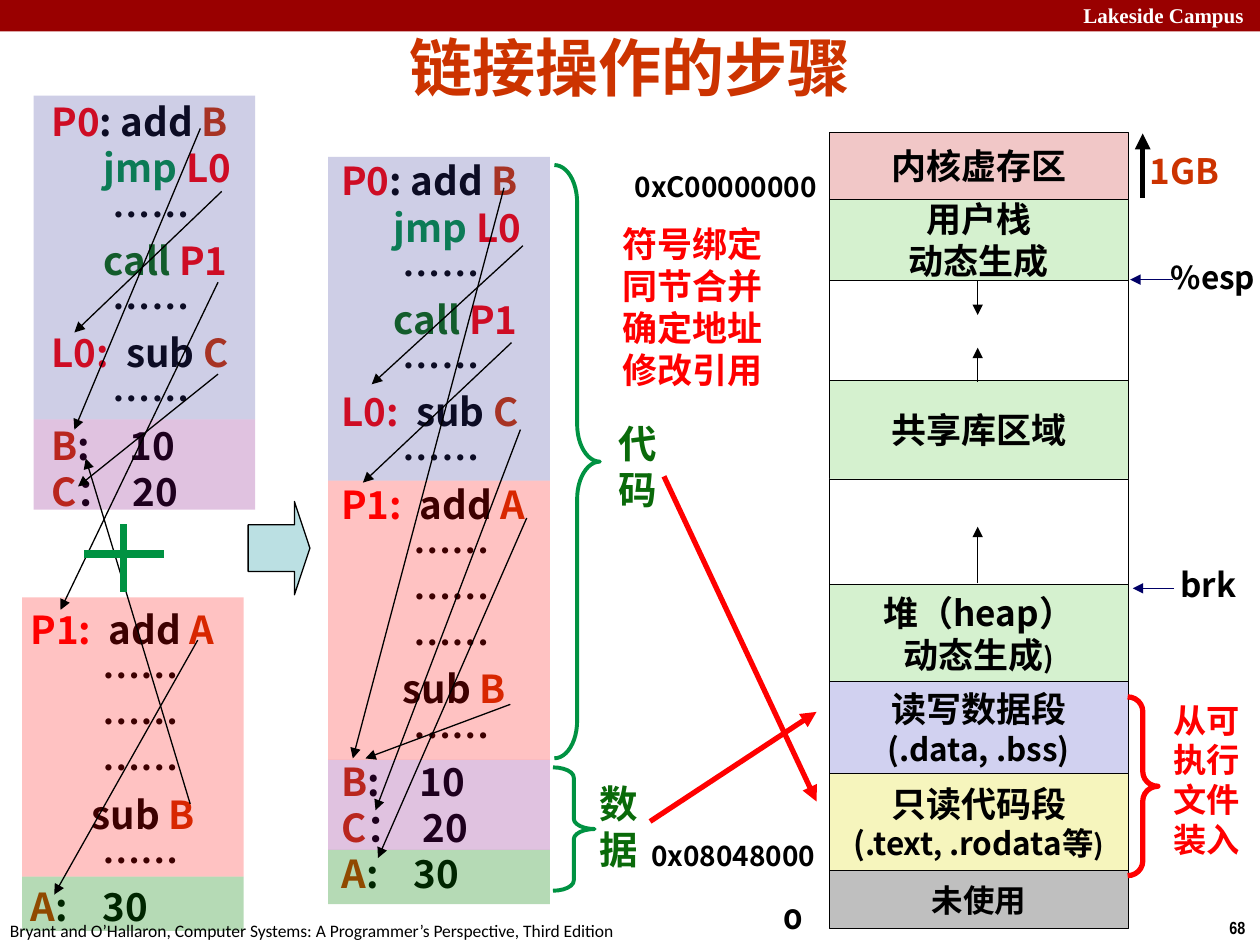
import pptx
import pptx.util
import pptx.dml.color
import pptx.enum.shapes
import pptx.enum.text
import pptx.oxml.ns
import lxml.etree

Pt = pptx.util.Pt
RGB = pptx.dml.color.RGBColor.from_string
KIND = pptx.enum.shapes.MSO_SHAPE
ALIGN = pptx.enum.text.PP_ALIGN
MID = pptx.enum.text.MSO_ANCHOR.MIDDLE
qn = pptx.oxml.ns.qn

THEME = dict(
    black="000000", white="FFFFFF", red="FF0000", rust="CC3300", green="009242",
    dark="0A6A0A", navy="000066", bar="990000", sky="BBE0E3",
    pink="F1C7C7", mint="D5F1CF", lilac="D1D1F0", cream="F6F5BD", grey="BFBFBF",
    blue="333399", plum="800080", leaf="008000",
    sans="Noto Sans CJK SC", narrow="Arial Narrow", serif="Times New Roman",
    title=36, code=22, cell=20, small=18, tiny=16, lead=1.2,
)

# Code lines: indent, runs of (text, colour, extra letter spacing)
DOTS = (35, [("……", "black")])
DEEP = (41, [("……", "black")])
MAIN = [
    (0, [("P0", "red"), (": add ", "black"), ("B", "rust")]),
    (30, [("jmp ", "green"), ("L0", "red")]),
    DOTS,
    (30, [("call ", "dark"), ("P1", "red")]),
    DOTS,
    (0, [("L0:", "red"), (" ", "red", 5), ("sub ", "black"), ("C", "rust")]),
    DOTS,
]
DATA = [
    (0, [("B", "rust"), (":", "black"), (" ", "black", 17.5), ("10", "black")]),
    (0, [("C", "rust"), ("：", "black"), (" ", "black", 5), ("20", "black")]),
]
PROC = [
    (0, [("P1:", "red"), (" ", "red", 5), ("add ", "black"), ("A", "rust")]),
    DEEP, DEEP, DEEP,
    (35, [("sub ", "black"), ("B", "rust")]),
    DEEP,
]
LAST = [(0, [("A", "rust"), (":", "black"), (" ", "black", 15), ("30", "black")])]

# Bands: lines, height, colour, opacity in percent
BANDS = dict(main=(MAIN, 185, "blue", 24), data=(DATA, 51.5, "plum", 24),
             proc=(PROC, 159.5, "red", 24), last=(LAST, 31, "leaf", 29))
WIDE = 126.7
# Blocks: band left and top, text left and top, bands
BLOCKS = [
    (187.5, 89.7, 188, 86.4, ["main", "proc", "data", "last"]),
    (12.6, 341.4, 10.3, 342.7, ["proc", "last"]),
    (19.2, 54.7, 22.3, 52.6, ["main", "data"]),
]

# Memory cells: top, colour, lines of (text, size) runs
MEMORY = [
    (75.6, "pink", [[("内核虚存区", "cell")]]),
    (113.8, "mint", [[("用户栈", "cell")], [("动态生成", "cell")]]),
    (160.3, "white", []),
    (217.4, "mint", [[("共享库区域", "cell")]]),
    (273.6, "white", []),
    (334, "mint", [[("堆（heap）", "cell")], [("动态生成", "cell"), (")", "tiny")]]),
    (389.5, "lilac", [[("读写数据段", "cell")], [("(.data, .bss)", "small")]]),
    (442, "cream", [[("只读代码段", "cell")],
                    [("(.text", "small"), (", ", "tiny"), (".rodata等", "small"), (")", "tiny")]]),
    (497.5, "grey", [[("未使用", "small")]]),
]
FLOOR, COL, SPAN = 530.6, 473.8, 171

# Labels: box, lines, font, size, colour, bold, side inset, wrap
LABELS = [
    ((612, -2, 108, 22), ["Lakeside Campus"], "serif", 12, "white", 1, 7.2, 0),
    ((695.5, 520.6, 24.5, 19), ["68"], "narrow", 10, "black", 1, 7.2, 0),
    ((-1.4, 522, 366, 19), ["Bryant and O’Hallaron, Computer Systems: A Programmer’s "
                            "Perspective, Third Edition"], "Calibri", 10, "black", 0, 7.2, 0),
    ((346.3, 236.2, 37.4, 60), ["代码"], "narrow", 22, "dark", 1, 7.2, 1),
    ((335.5, 442, 50.4, 60), ["数据"], "narrow", 22, "dark", 1, 7.2, 1),
    ((669, 143.7, 51, 27), ["%esp"], "sans", 18, "black", 1, 0, 0),
    ((667.4, 319, 52, 29), ["brk"], "sans", 19, "black", 1, 7.2, 0),
    ((355.7, 93.3, 123, 25), ["0xC00000000"], "sans", 16, "black", 1, 7.2, 0),
    ((365, 475.7, 112, 25), ["0x08048000"], "sans", 16, "black", 1, 7.2, 0),
    ((440.6, 511.5, 25, 26), ["0"], "Montserrat", 16, "black", 1, 7.2, 0),
    ((670.3, 396.4, 40.4, 97), ["从可执行文件装入"], "Calibri", 19, "red", 1, 0, 1),
    ((657, 82, 43, 31), ["1GB"], "sans", 20, "rust", 1, 0, 1),
    ((348.5, 123.8, 103, 103), ["符号绑定", "同节合并", "确定地址", "修改引用"],
     "narrow", 20, "red", 1, 7.2, 1),
]

# Braces: box, bend, colour, weight
BRACES = [
    ((316.8, 94.3, 26, 339), 0.823, "green", 2.25),
    ((316, 438.5, 23.8, 70.5), 0.246, "green", 2.25),
    ((644.4, 398.2, 17.3, 102.2), 0.486, "red", 3),
]

# Lines: colour, weight, arrowhead, list of (x1, y1, x2, y2)
LINES = [
    ("black", 0.75, True, [
        (288, 107.3, 201.6, 433.4), (291.6, 402.5, 208.8, 433.4), (301, 296, 216, 490.3),
        (297.4, 245.5, 214.6, 463), (298.8, 140.4, 212.4, 219.6), (292.3, 195.8, 207.4, 275.8),
        (124.6, 161.3, 34.6, 348.5), (114.5, 73.4, 42.5, 245.5), (126.7, 109.4, 42.5, 190),
        (124.6, 213.8, 44.6, 278), (113, 365.8, 31, 511.2), (108.7, 459.4, 49, 262)]),
    ("green", 4.5, False, [(48.2, 316.8, 93.6, 316.8), (70.6, 299.5, 70.6, 338.4)]),
    ("navy", 0.25, True, [(670.3, 159.8, 645.8, 159.8), (671, 336.2, 647.3, 336.2)]),
    ("black", 3, True, [(653, 113, 653, 76.3)]),
    ("black", 0.25, True, [(558.7, 333.4, 558.7, 301), (558.7, 218.2, 558.7, 198.7),
                           (558.7, 160.6, 558.7, 180)]),
    ("red", 3, True, [(379.4, 272.2, 466.6, 458), (371.5, 469.4, 466.6, 406.8)]),
]


def ink(name):
    return RGB(THEME[name])


def style(run, face, size, tone, bold=True, gap=0):
    font = run.font
    font.name = THEME.get(face, face)
    font.size, font.bold, font.color.rgb = Pt(size), bool(bold), ink(tone)
    props = run._r.get_or_add_rPr()
    east = lxml.etree.Element(qn("a:ea"), typeface=THEME["sans"])
    props.find(qn("a:latin")).addnext(east)
    if gap:
        props.set("spc", str(round(gap * 100)))


def fill(frame, rows, align=ALIGN.LEFT):
    """Write rows of (text, face, size, colour, bold, gap) runs, one paragraph each."""
    for i, row in enumerate(rows):
        para = frame.paragraphs[0] if i == 0 else frame.add_paragraph()
        para.alignment = align
        para.line_spacing = Pt(round(THEME["lead"] * max(r[2] for r in row), 1))
        for text, *look in row:
            run = para.add_run()
            run.text = text
            style(run, *look)


def shape(slide, kind, box, tone=None, edge=None, weight=0.75, alpha=None):
    item = slide.shapes.add_shape(kind, *map(Pt, box))
    item.shadow.inherit = False
    if tone:
        item.fill.solid()
        item.fill.fore_color.rgb = ink(tone)
    else:
        item.fill.background()
    if alpha:
        color = item._element.spPr.find(".//" + qn("a:srgbClr"))
        lxml.etree.SubElement(color, qn("a:alpha"), val=str(alpha * 1000))
    if edge:
        item.line.color.rgb, item.line.width = ink(edge), Pt(weight)
    else:
        item.line.fill.background()
    return item


def label(slide, box, rows, inset=7.2, wrap=True):
    frame = slide.shapes.add_textbox(*map(Pt, box)).text_frame
    frame.word_wrap = bool(wrap)
    frame.margin_left = frame.margin_right = Pt(inset)
    fill(frame, rows)
    return frame


def block(slide, left, top, x, y, names):
    lines = [line for name in names for line in BANDS[name][0]]
    rows = [[(text, "sans", THEME["code"], tone, True, *gap) for text, tone, *gap in runs]
            for _, runs in lines]
    high = sum(BANDS[name][1] for name in names)
    frame = label(slide, (x, y, 147.6, high), rows)
    for para, (indent, _) in zip(frame.paragraphs, lines):
        props = para._p.get_or_add_pPr()
        props.set("marL", str(Pt(indent)))
        props.set("indent", "0")
    for name in names:
        _, tall, tone, alpha = BANDS[name]
        shape(slide, KIND.RECTANGLE, (left, top, WIDE, tall), tone, alpha=alpha)
        top += tall


def line(slide, ends, tone, weight, head):
    item = slide.shapes.add_connector(pptx.enum.shapes.MSO_CONNECTOR.STRAIGHT, *map(Pt, ends))
    item.line.color.rgb, item.line.width = ink(tone), Pt(weight)
    if head:
        lxml.etree.SubElement(item.line._get_or_add_ln(), qn("a:tailEnd"), type="triangle")
    lxml.etree.SubElement(item._element.spPr, qn("a:effectLst"))


def memory(slide):
    ends = [cell[0] for cell in MEMORY[1:]] + [FLOOR]
    for (top, tone, lines), end in zip(MEMORY, ends):
        cell = shape(slide, KIND.RECTANGLE, (COL, top, SPAN, end - top), tone, "black", 0.25)
        frame = cell.text_frame
        frame.word_wrap, frame.vertical_anchor = False, MID
        rows = [[(text, "sans", THEME[size], "black") for text, size in row] for row in lines]
        fill(frame, rows, ALIGN.CENTER)


def main():
    deck = pptx.Presentation()
    deck.slide_width, deck.slide_height = Pt(720), Pt(540)
    slide = deck.slides.add_slide(deck.slide_layouts[5])
    shape(slide, KIND.RECTANGLE, (0, 0, 720, 18), "bar")
    title = slide.shapes.title
    title.left, title.top, title.width, title.height = map(Pt, (36, 15.8, 648, 44))
    title.text_frame.vertical_anchor = MID
    fill(title.text_frame, [[("链接操作的步骤", "Arial", THEME["title"], "rust")]], ALIGN.CENTER)
    arrow = shape(slide, KIND.RIGHT_ARROW, (141.8, 286.6, 35.3, 53.3), "sky", "black")
    arrow.adjustments[1] = 0.25
    for item in BLOCKS:
        block(slide, *item)
    memory(slide)
    for box, bend, tone, weight in BRACES:
        shape(slide, KIND.RIGHT_BRACE, box, None, tone, weight).adjustments[0] = bend
    for tone, weight, head, group in LINES:
        for ends in group:
            line(slide, ends, tone, weight, head)
    for box, lines, face, size, tone, bold, inset, wrap in LABELS:
        label(slide, box, [[(text, face, size, tone, bold)] for text in lines], inset, wrap)
    deck.save("out.pptx")


if __name__ == "__main__":
    main()
